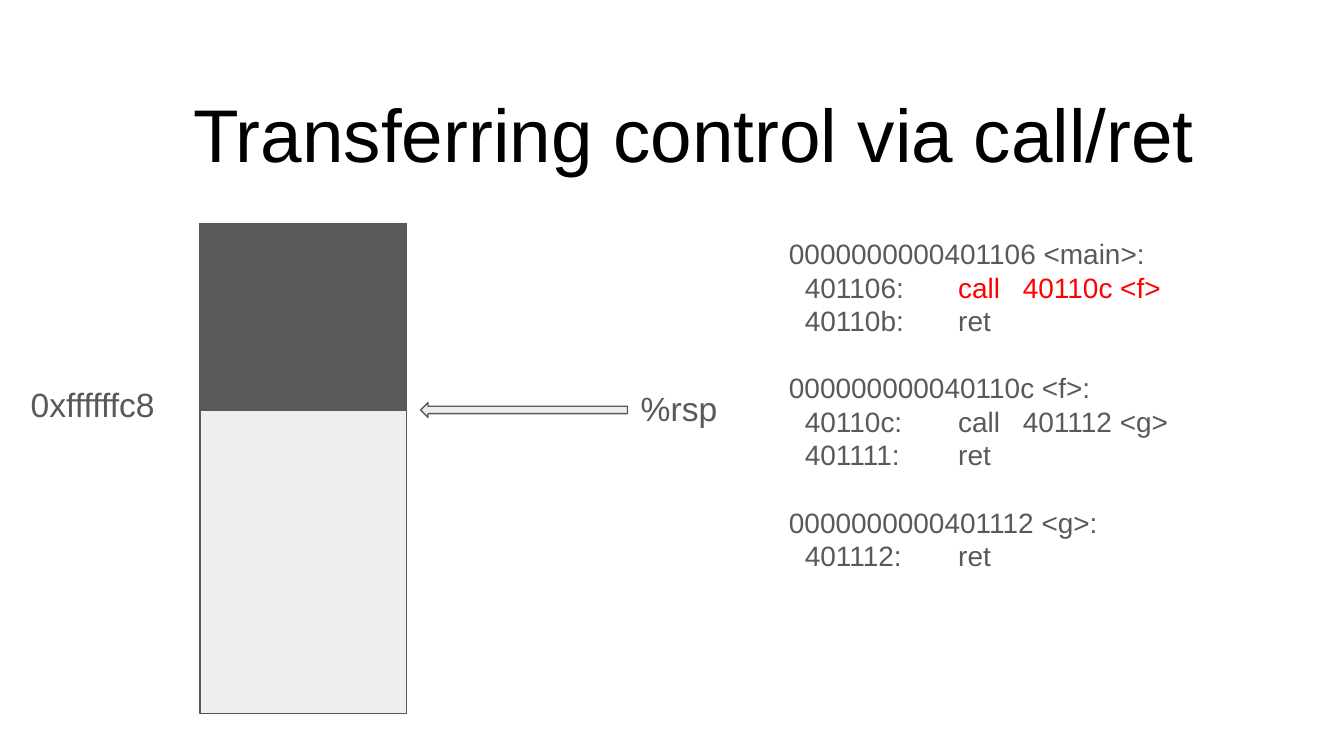
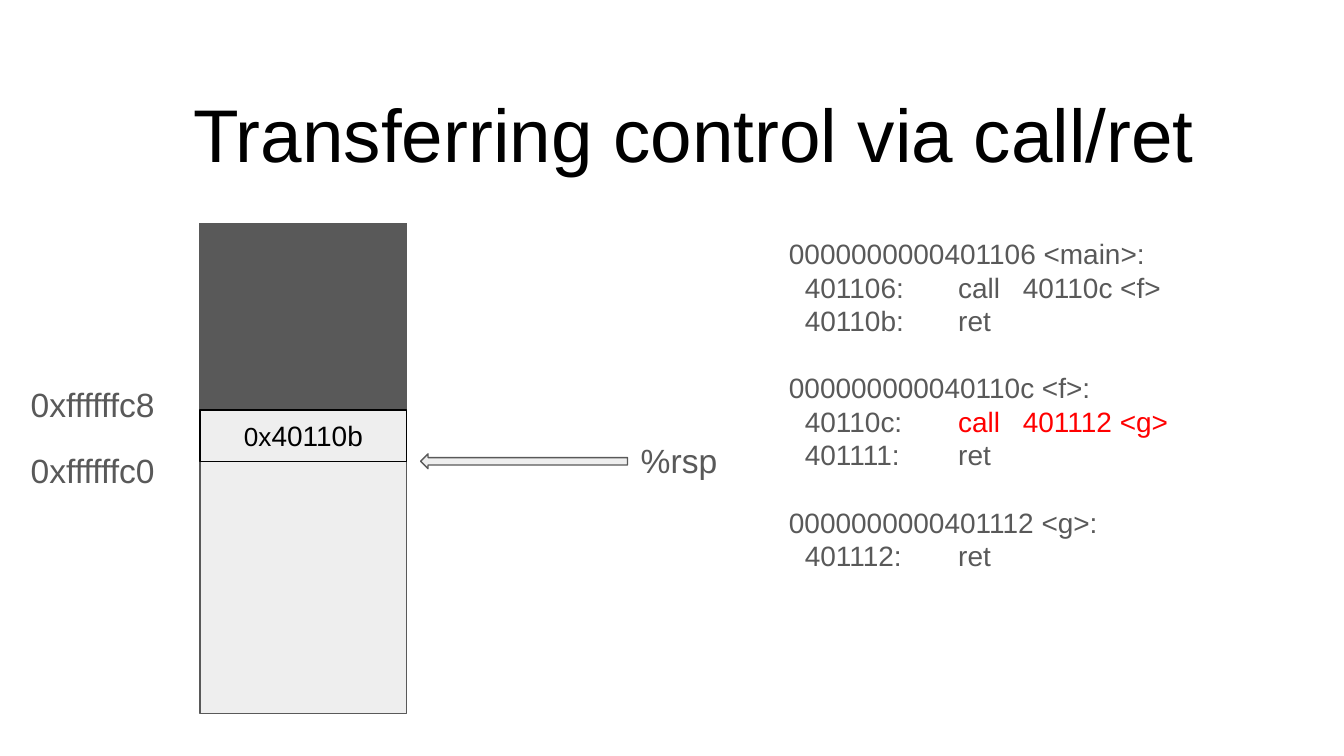
"""Builds two slides that follow the stack while call transfers control."""
import dataclasses

import pptx
import pptx.dml.color
import pptx.enum.shapes
import pptx.enum.text
import pptx.oxml
import pptx.oxml.ns
import pptx.util
from pptx.util import Cm, Pt

TITLE = "Transferring control via call/ret"
POINTER = "%rsp"
FUNCTIONS = [
    ("0000000000401106 <main>:", [("401106:", "call\t40110c <f>"), ("40110b:", "ret")]),
    ("000000000040110c <f>:", [("40110c:", "call\t401112 <g>"), ("401111:", "ret")]),
    ("0000000000401112 <g>:", [("401112:", "ret")]),
]
STEPS = [
    {"current": "401106:", "addresses": ["0xffffffc8"], "pushed": []},
    {"current": "40110c:", "addresses": ["0xffffffc8", "0xffffffc0"], "pushed": [("0x", "40110b")]},
]


@dataclasses.dataclass(frozen=True)
class Theme:
    font: str = "Arial"
    black: str = "000000"
    dark: str = "595959"
    light: str = "EEEEEE"
    current: str = "FF0000"
    title_size: int = 40
    label_size: int = 18
    code_size: int = 15
    prefix_size: int = 14
    code_pitch: int = 18
    line_width: float = 0.75


THEME = Theme()
INSET = 0.25
STACK_LEFT, STACK_TOP, STACK_WIDTH, STACK_HEIGHT = 3.78, 4.22, 3.91, 9.27
USED_HEIGHT, SLOT_HEIGHT = 3.53, 0.97
ADDRESS_TOP, ADDRESS_STEP = 7.01, 1.25
ARROW_LEFT, ARROW_WIDTH, ARROW_HEIGHT = 7.95, 3.91, 0.28
CODE_TABS = (0.3, 3.2, 4.42)

RECTANGLE = pptx.enum.shapes.MSO_SHAPE.RECTANGLE
LEFT_ARROW = pptx.enum.shapes.MSO_SHAPE.LEFT_ARROW
ANCHOR = pptx.enum.text.MSO_ANCHOR
CENTER = pptx.enum.text.PP_ALIGN.CENTER


def rgb(color):
    return pptx.dml.color.RGBColor.from_string(color)


def add_run(paragraph, text, size, color=THEME.dark):
    run = paragraph.add_run()
    run.text = text
    run.font.name = THEME.font
    run.font.size = Pt(size)
    run.font.color.rgb = rgb(color)


def prepare_frame(shape, anchor):
    frame = shape.text_frame
    frame.word_wrap = True
    frame.vertical_anchor = anchor
    frame.margin_left = frame.margin_right = Cm(INSET)
    frame.margin_top = frame.margin_bottom = Cm(INSET)
    return frame


def add_text_frame(slide, left, top, width, height, anchor=ANCHOR.TOP):
    box = slide.shapes.add_textbox(Cm(left), Cm(top), Cm(width), Cm(height))
    return prepare_frame(box, anchor)


def add_block(slide, kind, left, top, width, height, fill=THEME.light, line=THEME.dark):
    shape = slide.shapes.add_shape(kind, Cm(left), Cm(top), Cm(width), Cm(height))
    shape.shadow.inherit = False
    shape.fill.solid()
    shape.fill.fore_color.rgb = rgb(fill)
    shape.line.color.rgb = rgb(line)
    shape.line.width = Pt(THEME.line_width)
    return shape


def add_title(slide):
    frame = add_text_frame(slide, 1.27, 1.4, 23.67, 2.21, ANCHOR.BOTTOM)
    paragraph = frame.paragraphs[0]
    paragraph.alignment = CENTER
    add_run(paragraph, TITLE, THEME.title_size, THEME.black)


def add_label(slide, text, left, top, width, height):
    frame = add_text_frame(slide, left, top, width, height)
    add_run(frame.paragraphs[0], text, THEME.label_size)


def add_stack(slide, pushed):
    add_block(slide, RECTANGLE, STACK_LEFT, STACK_TOP, STACK_WIDTH, STACK_HEIGHT)
    add_block(slide, RECTANGLE, STACK_LEFT, STACK_TOP, STACK_WIDTH, USED_HEIGHT, THEME.dark)
    stack_end = STACK_TOP + USED_HEIGHT
    for prefix, digits in pushed:
        slot = add_block(slide, RECTANGLE, STACK_LEFT, stack_end, STACK_WIDTH, SLOT_HEIGHT,
                         line=THEME.black)
        paragraph = prepare_frame(slot, ANCHOR.MIDDLE).paragraphs[0]
        paragraph.alignment = CENTER
        add_run(paragraph, prefix, THEME.prefix_size, THEME.black)
        add_run(paragraph, digits, THEME.code_size, THEME.black)
        stack_end += SLOT_HEIGHT
    return stack_end


def add_pointer(slide, stack_end):
    add_block(slide, LEFT_ARROW, ARROW_LEFT, stack_end - ARROW_HEIGHT / 2,
              ARROW_WIDTH, ARROW_HEIGHT)
    add_label(slide, POINTER, ARROW_LEFT + ARROW_WIDTH, stack_end - 0.66, 3.02, 1.19)


def set_tabs(paragraph):
    properties = paragraph._p.get_or_add_pPr()
    tab_list = pptx.oxml.parse_xml(f"<a:tabLst {pptx.oxml.ns.nsdecls('a')}/>")
    for position in CODE_TABS:
        tab = tab_list.makeelement(pptx.oxml.ns.qn("a:tab"), pos=str(int(Cm(position))), algn="l")
        tab_list.append(tab)
    properties.append(tab_list)


def add_code(slide, current):
    frame = add_text_frame(slide, 14.66, STACK_TOP, 9.09, 7.62)
    for index, (header, instructions) in enumerate(FUNCTIONS):
        paragraph = frame.add_paragraph() if index else frame.paragraphs[0]
        paragraph.line_spacing = Pt(THEME.code_pitch)
        paragraph.space_before = Pt(THEME.code_pitch if index else 0)
        add_run(paragraph, header, THEME.code_size)
        for address, instruction in instructions:
            paragraph = frame.add_paragraph()
            paragraph.line_spacing = Pt(THEME.code_pitch)
            set_tabs(paragraph)
            add_run(paragraph, f"\t{address}\t", THEME.code_size)
            color = THEME.current if address == current else THEME.dark
            add_run(paragraph, instruction, THEME.code_size, color)


def main():
    presentation = pptx.Presentation()
    presentation.slide_width = Cm(25.4)
    presentation.slide_height = Cm(14.29)
    for step in STEPS:
        slide = presentation.slides.add_slide(presentation.slide_layouts[6])
        add_title(slide)
        stack_end = add_stack(slide, step["pushed"])
        add_pointer(slide, stack_end)
        for index, address in enumerate(step["addresses"]):
            add_label(slide, address, 0.33, ADDRESS_TOP + index * ADDRESS_STEP, 3.28, 0.79)
        add_code(slide, step["current"])
    presentation.save("out.pptx")


if __name__ == "__main__":
    main()
